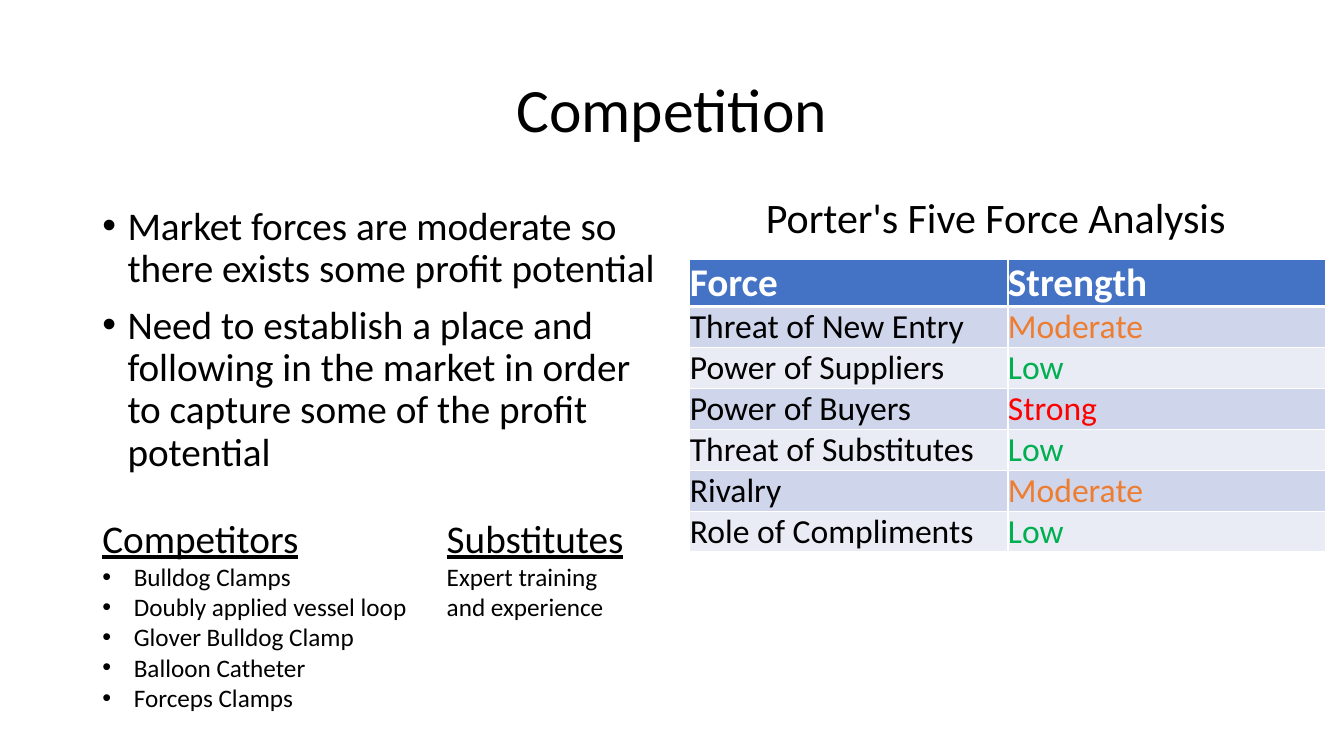
import pptx
import pptx.util
import pptx.dml.color
import pptx.enum.text
import pptx.oxml
import pptx.oxml.ns

FONT = "Calibri"
BLACK, WHITE, BLUE = "000000", "FFFFFF", "4472C4"
BANDS = ("CFD5EA", "E9EBF5")
LEVELS = {"Low": "00B050", "Moderate": "ED7D31", "Strong": "FF0000"}
FORCES = [
    ("Threat of New Entry", "Moderate"),
    ("Power of Suppliers", "Low"),
    ("Power of Buyers", "Strong"),
    ("Threat of Substitutes", "Low"),
    ("Rivalry", "Moderate"),
    ("Role of Compliments", "Low"),
]
POINTS = [
    "Market forces are moderate so there exists some profit potential",
    "Need to establish a place and following in the market in order "
    "to capture some of the profit potential",
]
RIVALS = ["Bulldog Clamps", "Doubly applied vessel loop", "Glover Bulldog Clamp",
          "Balloon Catheter", "Forceps Clamps"]
SUBS = ["Expert training", "and experience"]


def px(num):
    """Turn px into EMU, at 96 px to the inch."""
    return pptx.util.Emu(num * 9525)


def color(code):
    """Turn a hex string into a colour."""
    return pptx.dml.color.RGBColor.from_string(code)


def add_xml(parent, tag, attrs, inner=""):
    """Append one drawing element to the parent."""
    space = pptx.oxml.ns.nsdecls("a")
    parent.append(pptx.oxml.parse_xml(f"<a:{tag} {space} {attrs}>{inner}</a:{tag}>"))


def write(frame, text, size=18, ink=BLACK, bold=False, line=False,
          align=None, lead=None, gap=None, dent=0):
    """Add a paragraph to the frame in the given format."""
    para = frame.paragraphs[0]
    if para.runs:
        para = frame.add_paragraph()
    para.alignment, para.line_spacing = align, lead
    if gap:
        para.space_before = pptx.util.Pt(gap)
    if dent:
        props = para._p.get_or_add_pPr()
        props.set("marL", str(px(dent)))
        props.set("indent", str(-px(dent)))
        add_xml(props, "buFont", 'typeface="Arial"')
        add_xml(props, "buChar", 'char="•"')
    run = para.add_run()
    run.text = text
    font = run.font
    font.name, font.size = FONT, pptx.util.Pt(size)
    font.bold, font.underline = bold, line
    font.color.rgb = color(ink)


def add_box(slide, box, wrap=True, grow=False):
    """Add a text box and return its frame."""
    frame = slide.shapes.add_textbox(*map(px, box)).text_frame
    frame.word_wrap = wrap
    if grow:
        frame.auto_size = pptx.enum.text.MSO_AUTO_SIZE.SHAPE_TO_FIT_TEXT
    return frame


def add_title(slide, box):
    """Add the centred slide title."""
    frame = add_box(slide, box)
    frame.vertical_anchor = pptx.enum.text.MSO_ANCHOR.MIDDLE
    write(frame, "Competition", size=44, lead=0.9,
          align=pptx.enum.text.PP_ALIGN.CENTER)


def add_points(slide, box):
    """Add the main bullet points."""
    frame = add_box(slide, box)
    for text in POINTS:
        write(frame, text, size=28, lead=0.9, gap=10, dent=24)


def add_list(slide, box, head, items, wrap=True, dent=0):
    """Add an underlined heading with short lines below."""
    frame = add_box(slide, box, wrap, grow=True)
    write(frame, head, size=28, line=True)
    for text in items:
        write(frame, text, dent=dent)


def fill_cell(cell, text, fill, top, base, **form):
    """Fill one table cell and draw its borders."""
    cell.margin_left = cell.margin_right = cell.margin_top = cell.margin_bottom = 0
    cell.vertical_anchor = pptx.enum.text.MSO_ANCHOR.MIDDLE
    props = cell._tc.get_or_add_tcPr()
    paint = f'<a:solidFill><a:srgbClr val="{WHITE}"/></a:solidFill>'
    for side, width in (("L", 1), ("R", 1), ("T", top), ("B", base)):
        add_xml(props, f"ln{side}", f'w="{pptx.util.Pt(width)}"', paint)
    cell.fill.solid()
    cell.fill.fore_color.rgb = color(fill)
    write(cell.text_frame, text, **form)


def add_forces(slide, box):
    """Add the table of forces and their strength."""
    rows = [("Force", "Strength")] + FORCES
    table = slide.shapes.add_table(len(rows), 2, *map(px, box)).table
    for col in table.columns:
        col.width = px(box[2] // 2)
    for num, row in enumerate(rows):
        head = num == 0
        table.rows[num].height = px(45 if head else 39)
        fill = BLUE if head else BANDS[(num - 1) % 2]
        for pos, text in enumerate(row):
            ink = WHITE if head else LEVELS.get(text, BLACK)
            fill_cell(table.cell(num, pos), text, fill,
                      3 if num == 1 else 1, 3 if head else 1,
                      size=28 if head else 24, ink=ink, bold=head)


def main():
    """Build and save the slide."""
    deck = pptx.Presentation()
    deck.slide_width, deck.slide_height = px(1280), px(720)
    slide = deck.slides.add_slide(deck.slide_layouts[6])
    add_title(slide, (88, 38, 1104, 139))
    add_points(slide, (88, 192, 553, 457))
    add_forces(slide, (657, 247, 606, 279))
    write(add_box(slide, (720, 178, 498, 59), grow=True),
          "Porter's Five Force Analysis", size=30)
    add_list(slide, (416, 485, 208, 113), "Substitutes", SUBS)
    add_list(slide, (88, 485, 313, 201), "Competitors", RIVALS, wrap=False, dent=30)
    deck.save("out.pptx")


if __name__ == "__main__":
    main()
